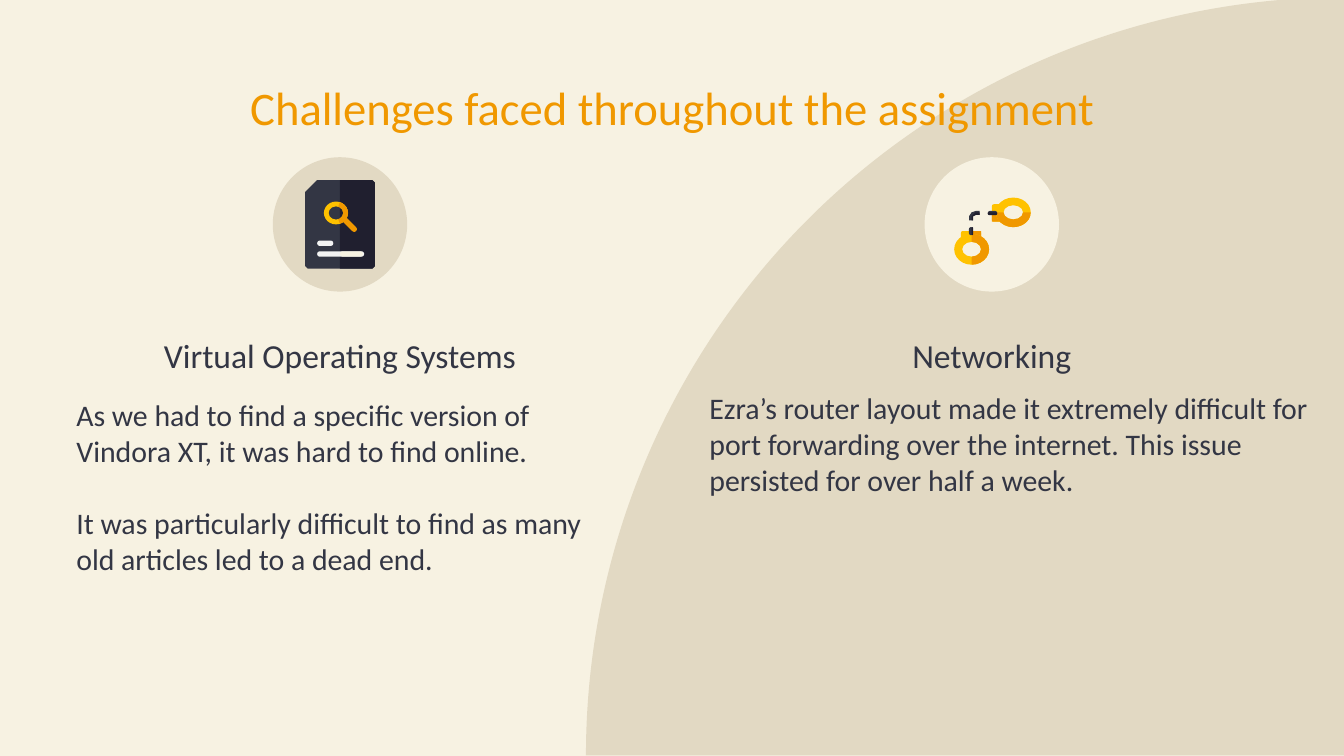
from pptx import Presentation
from pptx.dml.color import RGBColor
from pptx.enum.shapes import MSO_SHAPE as Shape
from pptx.enum.text import MSO_ANCHOR as Anchor, MSO_AUTO_SIZE as AutoSize, PP_ALIGN as Align
from pptx.util import Inches, Pt

COLORS = {
    "cream": "F7F2E2",
    "sand": "E2D9C3",
    "slate": "333644",
    "night": "201F2F",
    "yellow": "FFC200",
    "orange": "F09800",
    "mist": "F3F3F3",
}
FONT = "Calibri"
RIGHT_HALF = (162, 54)
LOWER_HALF = (0, 108)


def rgb(name):
    return RGBColor.from_string(COLORS[name])


def set_attributes(target, values):
    for name, value in values.items():
        setattr(target, name, value)


def paint(shape, color):
    shape.fill.solid()
    shape.fill.fore_color.rgb = rgb(color)
    shape.line.fill.background()
    shape.shadow.inherit = False
    return shape


def add_preset(shapes, kind, box, color, adjustments=(), rotation=0):
    shape = shapes.add_shape(kind, *map(Inches, box))
    for index, value in enumerate(adjustments):
        shape.adjustments[index] = value
    shape.rotation = rotation
    return paint(shape, color)


def add_polygon(shapes, points, color):
    corners = [(round(x * 100), round(y * 100)) for x, y in points]
    builder = shapes.build_freeform(*corners[0], scale=Inches(0.01))
    builder.add_line_segments(corners[1:], close=True)
    return paint(builder.convert_to_shape(), color)


def write_text(shape, box, paragraphs, size, color="slate", align=Align.LEFT, anchor=Anchor.TOP):
    set_attributes(shape, dict(zip(("left", "top", "width", "height"), map(Inches, box))))
    frame = shape.text_frame
    frame.text = "\n".join(paragraphs)
    margins = {f"margin_{side}": Inches(0.1) for side in ("left", "top", "right", "bottom")}
    set_attributes(frame, {"word_wrap": True, "auto_size": AutoSize.NONE,
                           "vertical_anchor": anchor, **margins})
    for index, paragraph in enumerate(frame.paragraphs):
        space = Pt(size * 1.22) if index else Pt(0)
        set_attributes(paragraph, {"alignment": align, "space_before": space})
        set_attributes(paragraph.runs[0].font, {"name": FONT, "size": Pt(size)})
        paragraph.runs[0].font.color.rgb = rgb(color)


def add_text(slide, box, paragraphs, size, **options):
    write_text(slide.shapes.add_textbox(0, 0, 0, 0), box, paragraphs, size, **options)


def add_document_icon(slide):
    shapes = slide.shapes.add_group_shape().shapes
    page = [(2.36, 1.34), (2.77, 1.34), (2.79, 1.36), (2.79, 1.98), (2.77, 2),
            (2.29, 2), (2.27, 1.98), (2.27, 1.43)]
    add_polygon(shapes, page, "slate")
    add_polygon(shapes, [(2.53, 1.34), *page[1:5], (2.53, 2)], "night")
    for box, color in (((2.36, 1.87, 0.35, 0.04), "mist"),
                       ((2.53, 1.87, 0.17, 0.04), "cream"),
                       ((2.36, 1.79, 0.12, 0.04), "mist")):
        add_preset(shapes, Shape.ROUNDED_RECTANGLE, box, color, (0.5,))
    lens = (2.41, 1.5, 0.18, 0.17)
    add_preset(shapes, Shape.DONUT, lens, "yellow", (0.21,))
    add_preset(shapes, Shape.BLOCK_ARC, lens, "orange", (174, 42, 0.21))
    add_preset(shapes, Shape.ROUNDED_RECTANGLE, (2.53, 1.65, 0.14, 0.04), "orange", (0.5,), 45)


def add_cuff(shapes, ring, tab, tab_half, half):
    add_preset(shapes, Shape.ROUNDED_RECTANGLE, tab, "yellow", (0.2,))
    add_preset(shapes, Shape.RECTANGLE, tab_half, "orange")
    add_preset(shapes, Shape.DONUT, ring, "yellow", (0.26,))
    add_preset(shapes, Shape.BLOCK_ARC, ring, "orange", (*half, 0.26))


def add_handcuffs_icon(slide):
    shapes = slide.shapes.add_group_shape().shapes
    add_cuff(shapes, (7.1, 1.74, 0.26, 0.23), (7.15, 1.72, 0.15, 0.07),
             (7.23, 1.72, 0.07, 0.07), RIGHT_HALF)
    add_cuff(shapes, (7.41, 1.47, 0.26, 0.22), (7.38, 1.52, 0.08, 0.13),
             (7.38, 1.58, 0.08, 0.07), LOWER_HALF)
    for box, shade in (((7.21, 1.69, 0.03, 0.06), (7.23, 1.69, 0.01, 0.06)),
                       ((7.35, 1.57, 0.07, 0.03), (7.35, 1.58, 0.07, 0.02))):
        add_preset(shapes, Shape.ROUNDED_RECTANGLE, box, "slate", (0.5,))
        add_preset(shapes, Shape.ROUNDED_RECTANGLE, shade, "night", (0.5,))
    inner_bend = [(7.29, 1.6), (7.26, 1.6), (7.24, 1.61), (7.24, 1.64)]
    add_polygon(shapes, [(7.21, 1.64), (7.21, 1.61), (7.23, 1.58), (7.26, 1.57), (7.29, 1.57),
                         *inner_bend], "slate")
    add_polygon(shapes, [(7.23, 1.64), (7.23, 1.61), (7.26, 1.58), (7.29, 1.58),
                         *inner_bend], "night")


def main():
    presentation = Presentation()
    set_attributes(presentation, {"slide_width": Inches(10), "slide_height": Inches(10 * 9 / 16)})
    slide = presentation.slides.add_slide(presentation.slide_layouts[5])
    slide.background.fill.solid()
    slide.background.fill.fore_color.rgb = rgb("cream")

    backdrop = add_preset(slide.shapes, Shape.PIE, (4.36, -0.02, 11.28, 11.28), "sand", (108, 162))
    backdrop.element.getparent().insert(2, backdrop.element)
    write_text(slide.shapes.title, (1.3, 0.49, 7.4, 0.72),
               ["Challenges faced throughout the assignment"], 25, color="orange", align=Align.CENTER)

    columns = (
        (2.53, "sand", "Virtual Operating Systems", (0.47, 2.85, 4.12, 2.04),
         ["As we had to find a specific version of Vindora XT, it was hard to find online.",
          "It was particularly difficult to find as many old articles led to a dead end."],
         add_document_icon),
        (7.38, "cream", "Networking", (5.18, 2.8, 4.68, 2.58),
         ["Ezra’s router layout made it extremely difficult for port forwarding over the internet. "
          "This issue persisted for over half a week."],
         add_handcuffs_icon),
    )
    for center, disc, heading, body_box, body, add_icon in columns:
        add_preset(slide.shapes, Shape.OVAL, (center - 0.5, 1.17, 1, 1), disc)
        add_text(slide, (center - 1.67, 2.09, 3.34, 0.8), [heading], 18,
                 align=Align.CENTER, anchor=Anchor.BOTTOM)
        add_text(slide, body_box, body, 16)
        add_icon(slide)

    presentation.save("out.pptx")


main()
